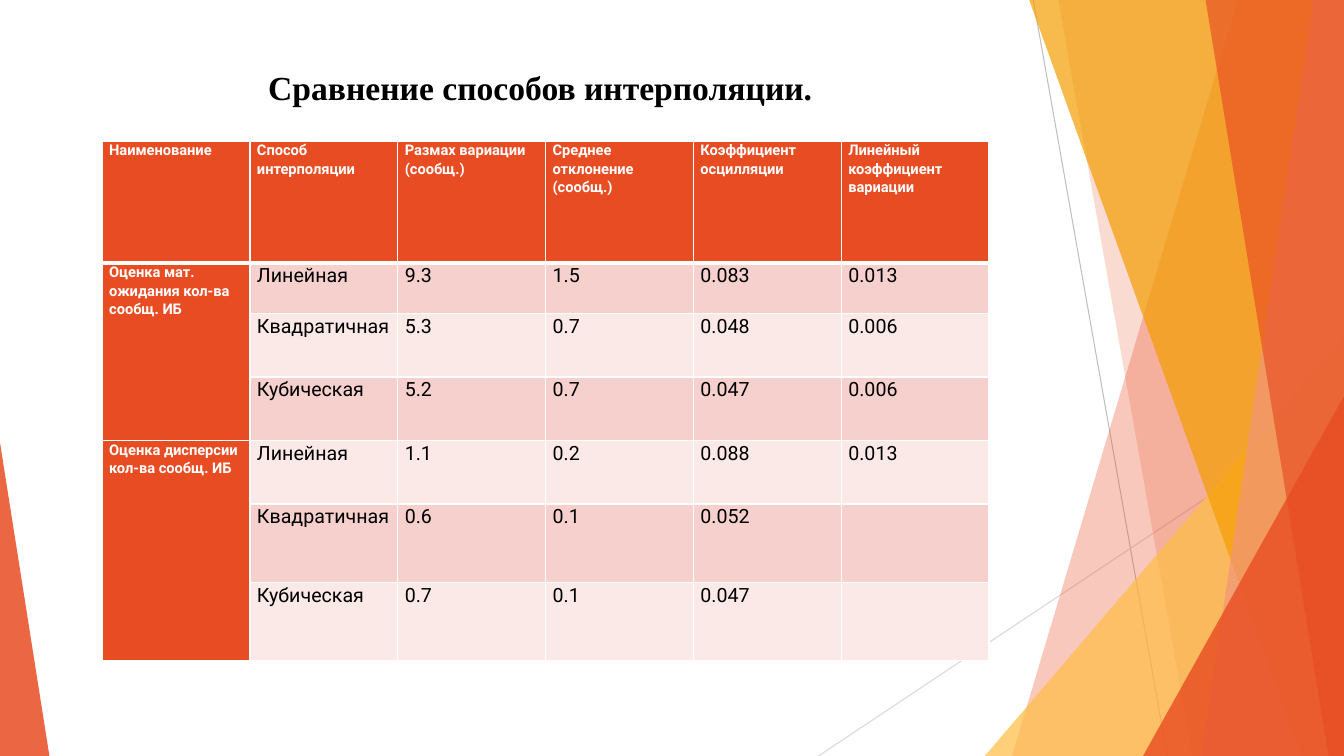
import pptx
import pptx.dml.color
import pptx.enum.shapes
import pptx.enum.text
import pptx.oxml
import pptx.oxml.ns
import pptx.util

ORANGE, AMBER, GOLD, PEACH = "E84C22", "F49D00", "FFBD47", "F1947A"
WHITE, BLACK = "FFFFFF", "000000"
BODY_FILLS = ("F6D0CD", "FBE9E8")

HEADERS = ("Наименование", "Способ интерполяции", "Размах вариации (сообщ.)",
           "Среднее отклонение (сообщ.)", "Коэффициент осцилляции",
           "Линейный коэффициент вариации")
GROUPS = ("Оценка мат. ожидания кол-ва сообщ. ИБ",
          "Оценка дисперсии кол-ва сообщ. ИБ")
METHODS = ("Линейная", "Квадратичная", "Кубическая")
MEASURES = (
    ("9.3", "1.5", "0.083", "0.013"),
    ("5.3", "0.7", "0.048", "0.006"),
    ("5.2", "0.7", "0.047", "0.006"),
    ("1.1", "0.2", "0.088", "0.013"),
    ("0.6", "0.1", "0.052", ""),
    ("0.7", "0.1", "0.047", ""),
)
COLUMN_WIDTH = 11
ROW_HEIGHTS = (16.13, 6.67, 8.4, 8.4, 8.4, 10.4, 10.27)


def color(value):
    return pptx.dml.color.RGBColor.from_string(value)


def write(text_frame, text, size, font="Roboto", ink=BLACK, bold=False, spacing=None):
    paragraph = text_frame.paragraphs[0]
    paragraph.alignment = pptx.enum.text.PP_ALIGN.LEFT
    paragraph.line_spacing = spacing
    run = paragraph.add_run()
    run.text = text
    run.font.size = pptx.util.Pt(size)
    run.font.name = font
    run.font.bold = bold
    run.font.color.rgb = color(ink)


def border(cell, side, width):
    """Draw a white border on one side (L, R, T or B); call before filling the cell."""
    cell._tc.get_or_add_tcPr().append(pptx.oxml.parse_xml(
        f'<a:ln{side} {pptx.oxml.ns.nsdecls("a")} w="{pptx.util.Pt(width)}">'
        f'<a:solidFill><a:srgbClr val="{WHITE}"/></a:solidFill></a:ln{side}>'))


class SlideBuilder:
    """Draws on one slide; all lengths are percentages of its width and height."""

    def __init__(self, presentation):
        self.width = presentation.slide_width
        self.height = presentation.slide_height
        self.slide = presentation.slides.add_slide(presentation.slide_layouts[5])
        self.shapes = self.slide.shapes

    def x(self, percent):
        return round(self.width * percent / 100)

    def y(self, percent):
        return round(self.height * percent / 100)

    def box(self, left, top, width, height):
        return self.x(left), self.y(top), self.x(width), self.y(height)

    def line(self, start, end, ink):
        connector = self.shapes.add_connector(
            pptx.enum.shapes.MSO_CONNECTOR.STRAIGHT,
            self.x(start[0]), self.y(start[1]), self.x(end[0]), self.y(end[1]))
        connector.line.color.rgb = color(ink)
        connector.line.width = pptx.util.Pt(0.75)
        connector.element.spPr.append(
            pptx.oxml.parse_xml(f'<a:effectLst {pptx.oxml.ns.nsdecls("a")}/>'))

    def paint(self, shape, fill, opacity):
        shape.shadow.inherit = False
        shape.line.fill.background()
        shape.fill.solid()
        shape.fill.fore_color.rgb = color(fill)
        tint = shape.element.spPr.find(".//" + pptx.oxml.ns.qn("a:srgbClr"))
        tint.append(pptx.oxml.parse_xml(
            f'<a:alpha {pptx.oxml.ns.nsdecls("a")} val="{opacity * 1000}"/>'))

    def band(self, top_x, bottom_x, fill, opacity):
        """Fill the full-height area from a slanted edge to the right slide edge."""
        builder = self.shapes.build_freeform(self.x(top_x), 0, scale=1.0)
        builder.add_line_segments([(self.width, 0), (self.width, self.height),
                                   (self.x(bottom_x), self.height)], close=True)
        self.paint(builder.convert_to_shape(), fill, opacity)

    def corner(self, left, top, width, apex, fill, opacity):
        """Add a triangle standing on the bottom edge, its apex at a share of its width."""
        triangle = self.shapes.add_shape(
            pptx.enum.shapes.MSO_SHAPE.ISOSCELES_TRIANGLE,
            *self.box(left, top, width, 100 - top))
        triangle.adjustments[0] = apex
        self.paint(triangle, fill, opacity)

    def table(self, left, top, rows):
        table = self.shapes.add_table(
            len(rows), len(HEADERS),
            *self.box(left, top, COLUMN_WIDTH * len(HEADERS), sum(ROW_HEIGHTS))).table
        for column in table.columns:
            column.width = self.x(COLUMN_WIDTH)
        for row, height in zip(table.rows, ROW_HEIGHTS):
            row.height = self.y(height)
        for row_index, texts in enumerate(rows):
            for column_index, text in enumerate(texts):
                self.cell(table.cell(row_index, column_index), text, row_index, column_index)
        for first in range(1, len(rows), len(METHODS)):
            table.cell(first, 0).merge(table.cell(first + len(METHODS) - 1, 0))

    def cell(self, cell, text, row, column):
        heading = row == 0 or column == 0
        cell.margin_left = cell.margin_right = pptx.util.Inches(0.07)
        cell.margin_top = cell.margin_bottom = 0
        for side in "LRTB":
            under_header = (row, side) in ((0, "B"), (1, "T"))
            border(cell, side, 3 if under_header else 1)
        cell.fill.solid()
        cell.fill.fore_color.rgb = color(ORANGE if heading else BODY_FILLS[(row - 1) % 2])
        if text:
            write(cell.text_frame, text, size=10.5 if heading else 14,
                  ink=WHITE if heading else BLACK, bold=heading, spacing=1.07)

    def title(self, text, left, top, width, height):
        title = self.shapes.title
        title.left, title.top, title.width, title.height = self.box(left, top, width, height)
        frame = title.text_frame
        frame.word_wrap = False
        frame.auto_size = pptx.enum.text.MSO_AUTO_SIZE.NONE
        frame.vertical_anchor = pptx.enum.text.MSO_ANCHOR.MIDDLE
        frame.margin_bottom = pptx.util.Inches(0.59)
        write(frame, text, size=24, font="Times New Roman", bold=True)
        title.element.getparent().append(title.element)


def main():
    presentation = pptx.Presentation()
    presentation.slide_width = pptx.util.Inches(13.33)
    presentation.slide_height = pptx.util.Inches(7.5)
    builder = SlideBuilder(presentation)

    builder.line((76.88, 0), (86.85, 100), "BFBFBF")
    builder.line((100, 53.73), (60.9, 100), "D9D9D9")
    builder.band(92.1, 75.3, ORANGE, 30)
    builder.band(78.75, 88.73, ORANGE, 20)
    builder.corner(73.28, 44.4, 26.72, 1, GOLD, 72)
    builder.band(76.58, 96.83, AMBER, 70)
    builder.band(97.73, 89.4, PEACH, 70)
    builder.band(89.7, 98.85, ORANGE, 65)
    builder.corner(85.05, 52.4, 14.95, 1, ORANGE, 80)
    builder.corner(0, 58.53, 3.68, 0, ORANGE, 85)

    rows = [HEADERS]
    for index, measures in enumerate(MEASURES):
        group, method = divmod(index, len(METHODS))
        rows.append((GROUPS[group] if method == 0 else "", METHODS[method], *measures))
    builder.table(7.6, 18.67, rows)
    builder.title("Сравнение способов интерполяции.", 19.2, 8.13, 42.45, 14)
    presentation.save("out.pptx")


if __name__ == "__main__":
    main()
